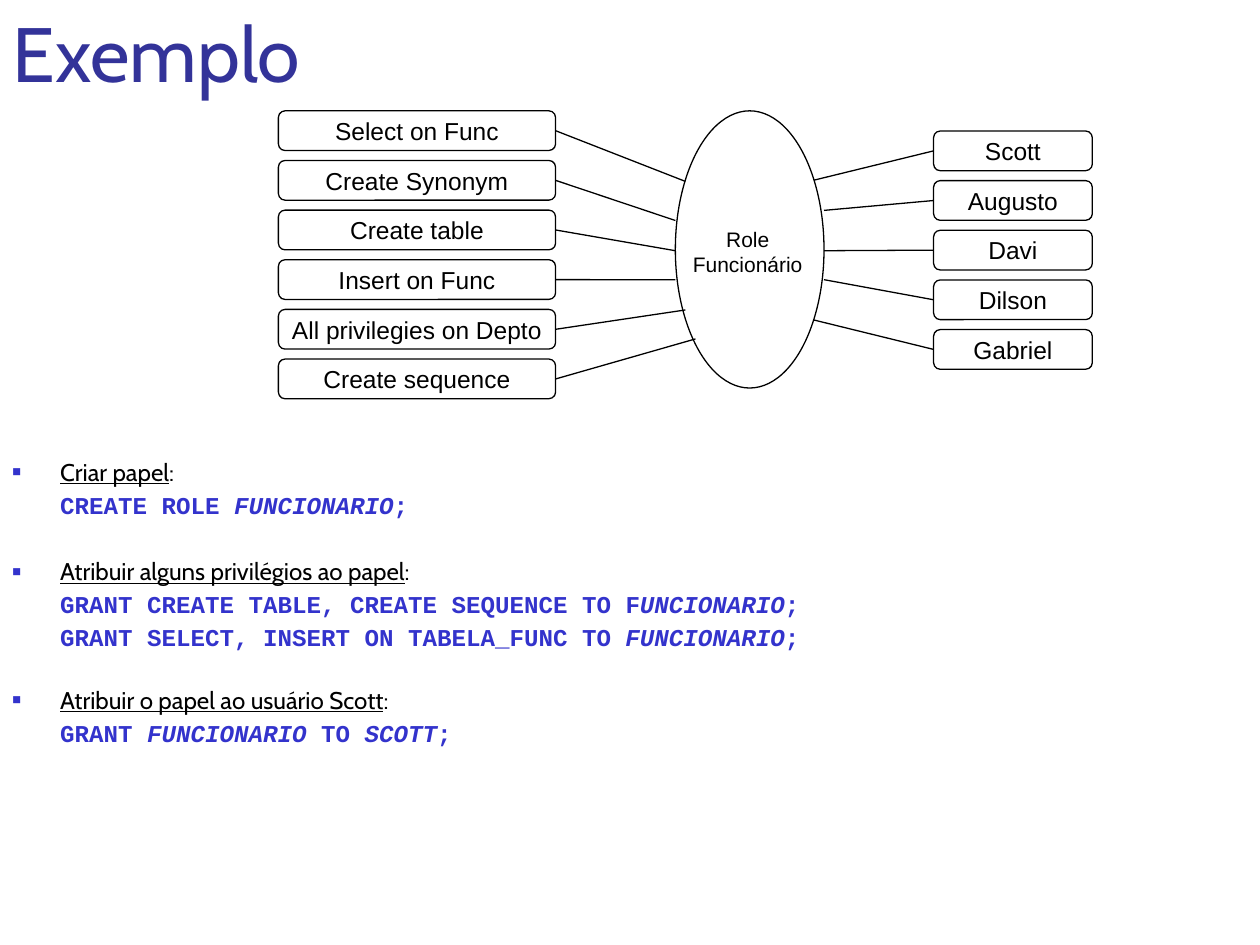
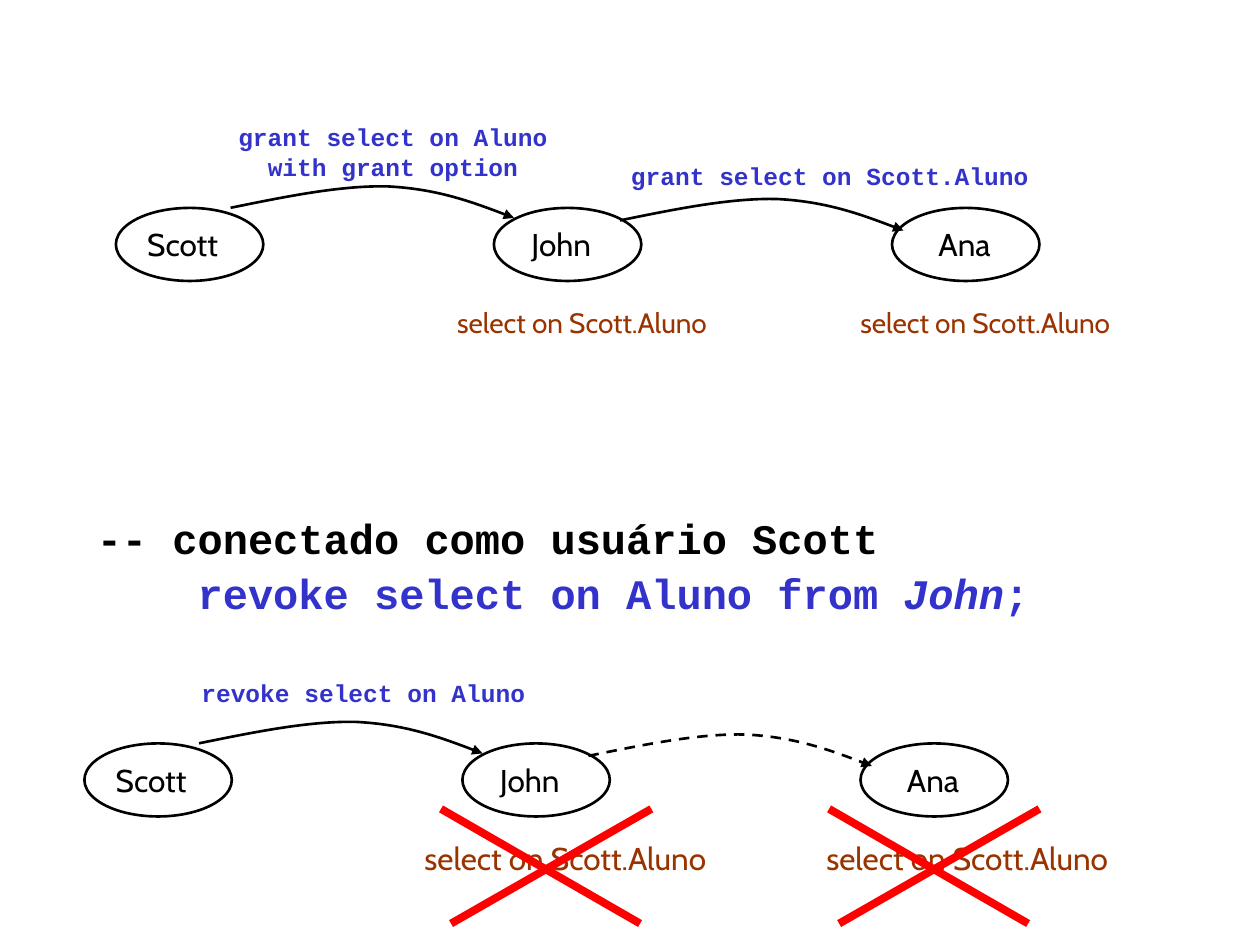
from dataclasses import dataclass
from typing import Any

import pptx
import pptx.dml.color
import pptx.enum.dml
import pptx.enum.shapes
import pptx.enum.text
import pptx.oxml
import pptx.oxml.ns
import pptx.util
from pptx.util import Inches

SHAPE = pptx.enum.shapes.MSO_SHAPE
ALIGN = pptx.enum.text.PP_ALIGN
ANCHOR = pptx.enum.text.MSO_ANCHOR
COLORS = {
    "title": "333399",
    "code": "3333CC",
    "privilege": "993300",
    "ink": "000000",
    "cross": "FF0000",
}
SANS, DIAGRAM, MONO = "Cabin", "Arial", "Courier New"
BOX_PITCH, BOX_HEIGHT = 0.394, 0.315
ARC = [(0.44, -0.09), (0.88, -0.18), (1.25, -0.17), (1.63, -0.15), (1.94, -0.04), (2.25, 0.08)]


@dataclass
class BoxColumn:
    x: float
    y: float
    width: float
    link_x: float
    names: list[str]
    link_ends: list[tuple[float, float]]


@dataclass
class Person:
    name: str
    x: float
    inset: float


@dataclass
class Label:
    text: str
    x: float
    y: float
    width: float
    height: float
    style: dict[str, Any]


@dataclass
class Section:
    heading: str
    before: float
    code: list[str]


CODE_LABEL = dict(size=14, font=MONO, color="code", bold=True)
PRIVILEGE = dict(size=16, color="privilege")
REVOKED = dict(size=18, color="privilege")

PRIVILEGES = BoxColumn(
    2.21, 0.88, 2.2, 4.41,
    ["Select on Func", "Create Synonym", "Create table", "Insert on Func",
     "All privilegies on Depto", "Create sequence"],
    [(5.44, 1.44), (5.36, 1.75), (5.36, 1.99), (5.36, 2.22), (5.44, 2.46), (5.52, 2.69)],
)
USERS = BoxColumn(
    7.41, 1.04, 1.26, 7.41,
    ["Scott", "Augusto", "Davi", "Dilson", "Gabriel"],
    [(6.46, 1.43), (6.54, 1.67), (6.54, 1.99), (6.54, 2.22), (6.46, 2.54)],
)
SECTIONS = [
    Section("|Criar papel|:", 0, ["CREATE ROLE |FUNCIONARIO|;"]),
    Section("|Atribuir alguns privilégios ao papel|:", 21.5,
            ["GRANT CREATE TABLE, CREATE SEQUENCE TO F|UNCIONARIO|;",
             "GRANT SELECT, INSERT ON TABELA_FUNC TO |FUNCIONARIO|;"]),
    Section("|Atribuir o papel ao usuário Scott|:", 19.5,
            ["GRANT |FUNCIONARIO| TO |SCOTT|;"]),
]
PEOPLE = [Person("Scott", 0.92, 0.15), Person("John", 3.92, 0.2), Person("Ana", 7.08, 0.27)]
LABELS = [
    Label("grant select on Aluno\nwith grant option", 1.72, 0.92, 2.8, 0.57,
          dict(CODE_LABEL, align=ALIGN.CENTER)),
    Label("grant select on Scott.Aluno", 4.91, 1.23, 3.6, 0.34, CODE_LABEL),
    Label("select on Scott.Aluno", 3.53, 2.38, 2.6, 0.37, PRIVILEGE),
    Label("select on Scott.Aluno", 6.73, 2.38, 2.6, 0.37, PRIVILEGE),
    Label("revoke select on Aluno", 1.5, 5.33, 3, 0.34, CODE_LABEL),
    Label("select on Scott.Aluno", 3.27, 6.61, 2.9, 0.4, REVOKED),
    Label("select on Scott.Aluno", 6.46, 6.61, 2.9, 0.4, REVOKED),
]


def rgb(name: str) -> pptx.dml.color.RGBColor:
    return pptx.dml.color.RGBColor.from_string(COLORS[name])


def element(tag: str, **attrs: str) -> Any:
    el = pptx.oxml.parse_xml(f"<a:{tag} {pptx.oxml.ns.nsdecls('a')}/>")
    for key, value in attrs.items():
        el.set(key, value)
    return el


def write(tf: Any, text: str, *, size: float, font: str = SANS, color: str = "ink",
          bold: bool = False, accent: str = "italic", align: Any = ALIGN.LEFT,
          before: float = 0, spacing: float = 1, indent: float = 0,
          bullet: bool = False) -> None:
    for line in text.split("\n"):
        p = tf.paragraphs[-1]
        if p.runs:
            p = tf.add_paragraph()
        p.alignment = align
        p.space_before = pptx.util.Pt(before)
        p.line_spacing = spacing
        pPr = p._p.get_or_add_pPr()
        pPr.set("marL", str(Inches(indent)))
        pPr.set("indent", str(-Inches(indent) if bullet else 0))
        if bullet:
            bullet_color = element("buClr")
            bullet_color.append(element("srgbClr", val=COLORS["code"]))
            pPr.append(bullet_color)
            pPr.append(element("buSzPct", val="60000"))
            pPr.append(element("buFont", typeface=DIAGRAM))
            pPr.append(element("buChar", char="■"))
        for i, piece in enumerate(line.split("|")):
            if piece:
                r = p.add_run()
                r.text = piece
                r.font.size = pptx.util.Pt(size)
                r.font.name = font
                r.font.bold = bold
                r.font.color.rgb = rgb(color)
                setattr(r.font, accent, i % 2 == 1)


def add_text_frame(s: Any, x: float, y: float, width: float, height: float,
                   wrap: bool = True) -> Any:
    tf = s.shapes.add_textbox(Inches(x), Inches(y), Inches(width), Inches(height)).text_frame
    tf.word_wrap = wrap
    return tf


def outline(sp: Any, weight: float) -> None:
    sp.shadow.inherit = False
    sp.fill.background()
    sp.line.color.rgb = rgb("ink")
    sp.line.width = pptx.util.Pt(weight)


def add_outlined(s: Any, kind: Any, x: float, y: float, width: float, height: float,
                 weight: float) -> Any:
    sp = s.shapes.add_shape(kind, Inches(x), Inches(y), Inches(width), Inches(height))
    outline(sp, weight)
    return sp


def add_line(s: Any, start: tuple[float, float], end: tuple[float, float],
             color: str = "ink", weight: float = 0.75) -> None:
    cx = s.shapes.add_connector(pptx.enum.shapes.MSO_CONNECTOR.STRAIGHT,
                                *(Inches(v) for v in (*start, *end)))
    cx.line.color.rgb = rgb(color)
    cx.line.width = pptx.util.Pt(weight)
    cx._element.spPr.append(element("effectLst"))


def add_arc(s: Any, x: float, y: float, dashed: bool = False) -> None:
    fb = s.shapes.build_freeform(Inches(x), Inches(y))
    fb.add_line_segments([(Inches(x + dx), Inches(y + dy)) for dx, dy in ARC], close=False)
    sp = fb.convert_to_shape()
    segments = list(sp._element.iter(pptx.oxml.ns.qn("a:lnTo")))
    for i in range(0, len(segments), 3):
        curve = element("cubicBezTo")
        segments[i].addprevious(curve)
        for segment in segments[i:i + 3]:
            curve.append(segment[0])
            segment.getparent().remove(segment)
    outline(sp, 1.5)
    if dashed:
        sp.line.dash_style = pptx.enum.dml.MSO_LINE.DASH
    sp.line._get_or_add_ln().append(element("tailEnd", type="triangle"))


def add_box_column(s: Any, column: BoxColumn) -> None:
    for i, (name, end) in enumerate(zip(column.names, column.link_ends)):
        y = column.y + i * BOX_PITCH
        sp = add_outlined(s, SHAPE.ROUNDED_RECTANGLE, column.x, y, column.width, BOX_HEIGHT, 0.75)
        tf = sp.text_frame
        tf.word_wrap = False
        tf.vertical_anchor = ANCHOR.MIDDLE
        write(tf, name, size=14, font=DIAGRAM, align=ALIGN.CENTER)
        add_line(s, (column.link_x, y + BOX_HEIGHT / 2), end)


def add_chain(s: Any, dx: float, dy: float, revoked: bool = False) -> None:
    for person in PEOPLE:
        x = person.x + dx
        write(add_text_frame(s, x + person.inset, 1.74 + dy, 0.9, 0.4), person.name, size=18)
        add_outlined(s, SHAPE.OVAL, x, 1.65 + dy, 1.17, 0.58, 1.5)
    add_arc(s, 1.83 + dx, 1.65 + dy)
    add_arc(s, 4.92 + dx, 1.75 + dy, dashed=revoked)


def add_cross(s: Any, x: float) -> None:
    top, bottom = 6.42, 7.33
    add_line(s, (x, top), (x + 1.58, bottom), "cross", 4.5)
    add_line(s, (x + 1.67, top), (x + 0.08, bottom), "cross", 4.5)


def build_role_slide(s: Any) -> None:
    tf = add_text_frame(s, 0, 0, 8.52, 0.83)
    tf.vertical_anchor = ANCHOR.BOTTOM
    write(tf, "Exemplo", size=44, color="title")

    tf = add_text_frame(s, 0, 3.58, 10, 2.5)
    for section in SECTIONS:
        write(tf, section.heading, size=13.8, accent="underline", before=section.before,
              indent=0.38, bullet=True)
        for statement in section.code:
            write(tf, statement, size=13.8, font=MONO, color="code", bold=True,
                  before=5.5, spacing=0.8, indent=0.38)

    add_outlined(s, SHAPE.OVAL, 5.36, 0.88, 1.18, 2.2, 0.75)
    write(add_text_frame(s, 5.4, 1.75, 1.07, 0.5, wrap=False), "Role\nFuncionário",
          size=12, font=DIAGRAM, align=ALIGN.CENTER)
    for column in (PRIVILEGES, USERS):
        add_box_column(s, column)


def build_revoke_slide(s: Any) -> None:
    tf = add_text_frame(s, 0.67, 4.06, 9, 0.88)
    command = dict(size=24, font=MONO, bold=True, spacing=0.9)
    write(tf, "-- conectado como usuário Scott", **command)
    write(tf, "revoke select on Aluno from |John|;", color="code", before=6,
          indent=0.8, **command)
    add_chain(s, 0, 0)
    add_chain(s, -0.25, 4.25, revoked=True)
    for label in LABELS:
        tf = add_text_frame(s, label.x, label.y, label.width, label.height)
        write(tf, label.text, **label.style)
    for x in (3.5, 6.58):
        add_cross(s, x)


def main() -> None:
    prs = pptx.Presentation()
    prs.slide_width, prs.slide_height = Inches(10), Inches(7.5)
    for build in (build_role_slide, build_revoke_slide):
        build(prs.slides.add_slide(prs.slide_layouts[6]))
    prs.save("out.pptx")


if __name__ == "__main__":
    main()
